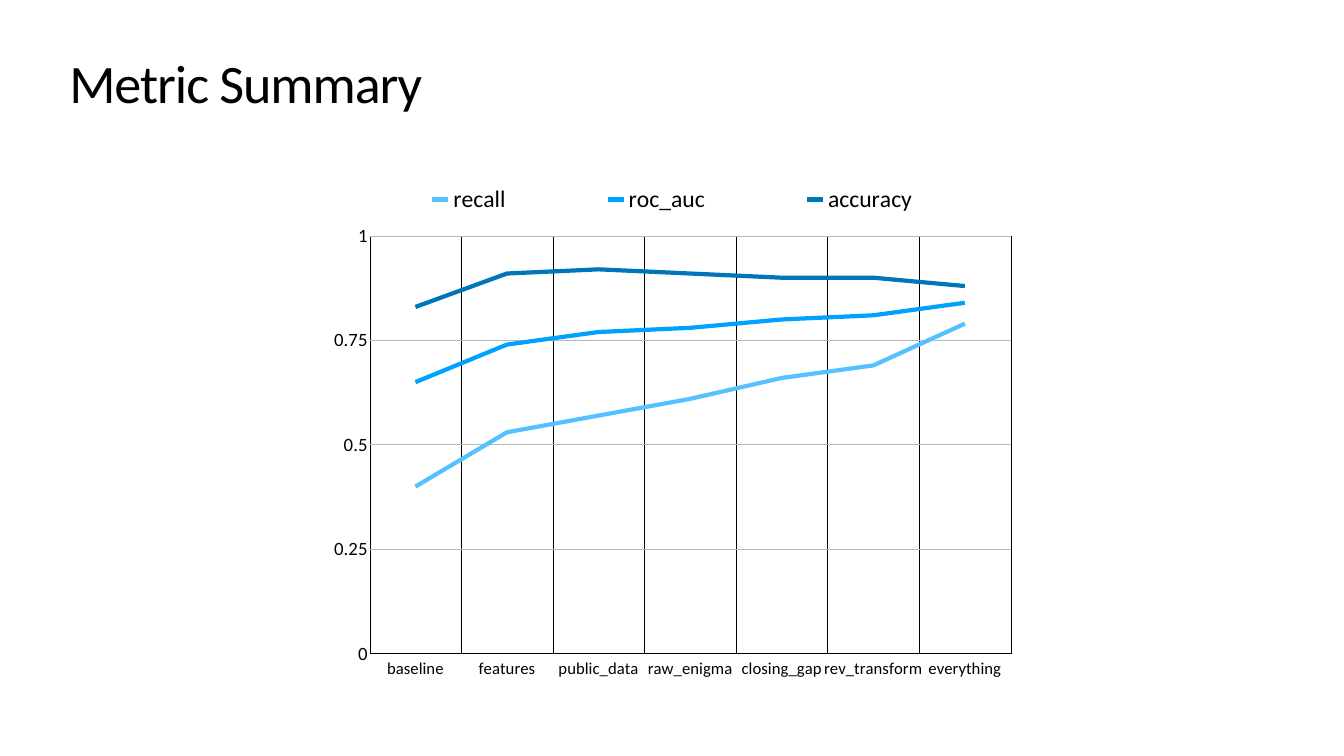
import pptx
import pptx.chart.data
import pptx.dml.color
import pptx.enum.chart
import pptx.enum.text
import pptx.oxml
import pptx.oxml.ns
import pptx.util
from pptx.util import Pt

CATEGORIES = ["baseline", "features", "public_data", "raw_enigma",
              "closing_gap", "rev_transform", "everything"]
METRICS = [
    ("recall", "56C1FF", [0.4, 0.53, 0.57, 0.61, 0.66, 0.69, 0.79]),
    ("roc_auc", "00A2FF", [0.65, 0.74, 0.77, 0.78, 0.8, 0.81, 0.84]),
    ("accuracy", "0076BA", [0.83, 0.91, 0.92, 0.91, 0.9, 0.9, 0.88]),
]


def color(hex_string):
    return pptx.dml.color.RGBColor.from_string(hex_string)


def manual_layout(x, y, width, height, inner=False):
    """Return a chart layout element; all values are fractions of the chart."""
    target = '<c:layoutTarget val="inner"/>' if inner else ""
    return pptx.oxml.parse_xml(
        f'<c:layout {pptx.oxml.ns.nsdecls("c")}><c:manualLayout>{target}'
        '<c:xMode val="edge"/><c:yMode val="edge"/>'
        f'<c:x val="{x}"/><c:y val="{y}"/><c:w val="{width}"/><c:h val="{height}"/>'
        '</c:manualLayout></c:layout>')


class SlideBuilder:
    font_name = "Calibri"
    text_color = "000000"

    def __init__(self, slide):
        self.slide = slide

    def style_font(self, font, size):
        font.name = self.font_name
        font.size = Pt(size)
        font.bold = False
        font.color.rgb = color(self.text_color)

    def style_line(self, line, hex_string, width):
        line.color.rgb = color(hex_string)
        line.width = Pt(width)

    def title(self, text, left, top, width, height):
        frame = self.slide.shapes.add_textbox(
            Pt(left), Pt(top), Pt(width), Pt(height)).text_frame
        frame.word_wrap = True
        frame.vertical_anchor = pptx.enum.text.MSO_ANCHOR.TOP
        frame.margin_left = frame.margin_right = Pt(4)
        frame.margin_top = frame.margin_bottom = Pt(4)
        paragraph = frame.paragraphs[0]
        paragraph.line_spacing = 0.8
        run = paragraph.add_run()
        run.text = text
        self.style_font(paragraph.font, 77.3)
        run.font._element.set("spc", "-150")

    def line_chart(self, categories, metrics, left, top, width, height):
        data = pptx.chart.data.CategoryChartData()
        data.categories = categories
        for name, _, values in metrics:
            data.add_series(name, values)
        chart = self.slide.shapes.add_chart(
            pptx.enum.chart.XL_CHART_TYPE.LINE,
            Pt(left), Pt(top), Pt(width), Pt(height), data).chart
        chart.has_title = False
        chart.font.name = "Roboto"
        chart.font.size = Pt(10)
        chart.font.color.rgb = color("5E5E5E")

        # Series
        plot = chart.plots[0]
        plot.vary_by_categories = False
        for series, (_, hex_string, _) in zip(plot.series, metrics):
            series.smooth = False
            series.marker.style = pptx.enum.chart.XL_MARKER_STYLE.NONE
            self.style_line(series.format.line, hex_string, 6)

        # Axes
        category_axis, value_axis = chart.category_axis, chart.value_axis
        for axis, size, grid_color, grid_width in (
                (category_axis, 23.8, "000000", 0.25),
                (value_axis, 26.8, "B8B8B8", 1)):
            axis.major_tick_mark = pptx.enum.chart.XL_TICK_MARK.NONE
            axis.minor_tick_mark = pptx.enum.chart.XL_TICK_MARK.NONE
            axis.has_major_gridlines = True
            self.style_line(axis.major_gridlines.format.line, grid_color, grid_width)
            self.style_font(axis.tick_labels.font, size)
            axis.tick_labels.number_format = "General"
            axis.tick_labels.number_format_is_linked = False
        category_axis.tick_label_position = pptx.enum.chart.XL_TICK_LABEL_POSITION.LOW
        self.style_line(category_axis.format.line, "000000", 1)
        value_axis.format.line.fill.background()
        value_axis.minimum_scale = 0
        value_axis.maximum_scale = 1
        value_axis.major_unit = 0.25

        # Lines start and end on the plot edges
        plot_area = chart._chartSpace.chart.plotArea
        for cross in plot_area.iter(pptx.oxml.ns.qn("c:crossBetween")):
            cross.set("val", "midCat")
        for layout in plot_area.findall(pptx.oxml.ns.qn("c:layout")):
            plot_area.remove(layout)
        plot_area.insert(0, manual_layout(0.073, 0.111, 0.873, 0.812, inner=True))

        # Legend
        chart.has_legend = True
        legend = chart.legend
        legend.position = pptx.enum.chart.XL_LEGEND_POSITION.TOP
        legend.include_in_layout = True
        self.style_font(legend.font, 33.8)
        legend_element = legend._element
        for layout in legend_element.findall(pptx.oxml.ns.qn("c:layout")):
            legend_element.remove(layout)
        legend_element.find(pptx.oxml.ns.qn("c:legendPos")).addnext(
            manual_layout(0.03, 0, 0.91, 0.08))


def main():
    presentation = pptx.Presentation()
    presentation.slide_width = Pt(1920)
    presentation.slide_height = Pt(1080)
    slide = presentation.slides.add_slide(presentation.slide_layouts[6])
    slide.background.fill.solid()
    slide.background.fill.fore_color.rgb = color("FFFFFF")

    builder = SlideBuilder(slide)
    builder.title("Metric Summary", 95, 85, 1730, 113)
    builder.line_chart(CATEGORIES, METRICS, 451.5, 255.5, 1049, 735)
    presentation.save("out.pptx")


if __name__ == "__main__":
    main()
